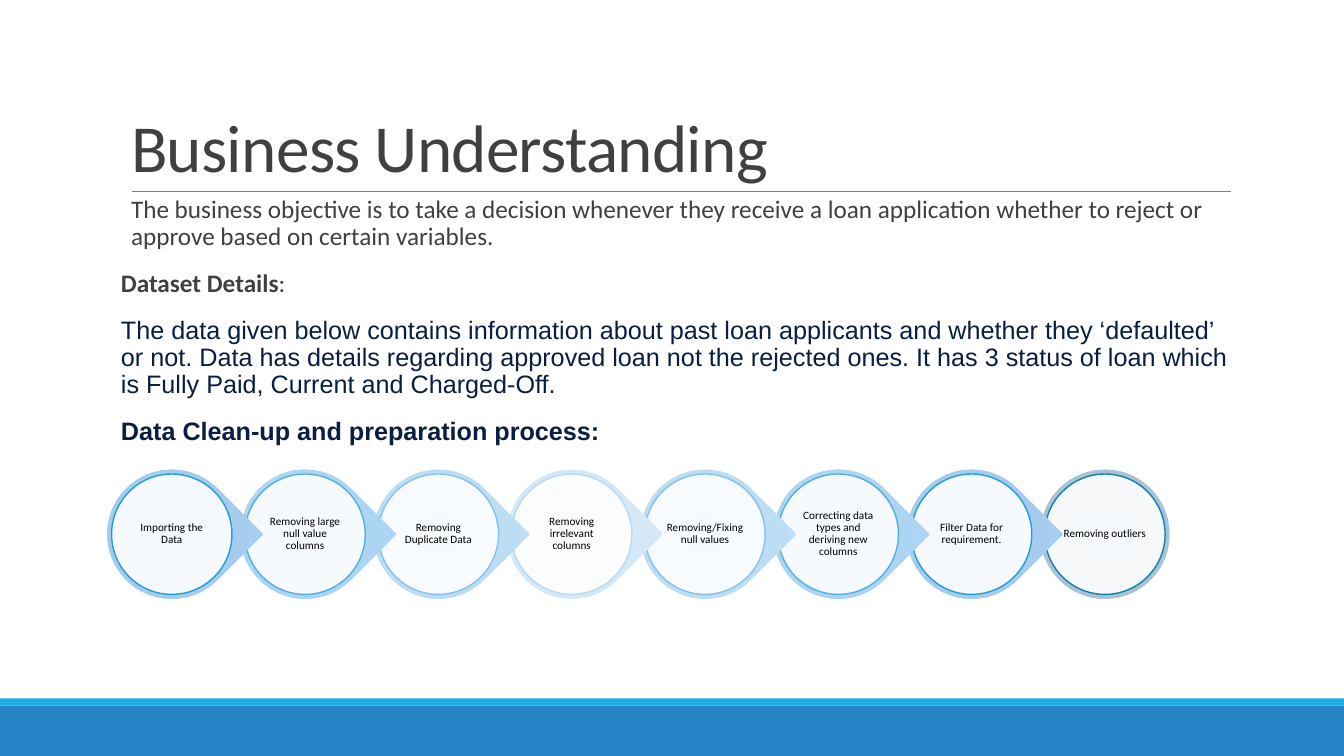
from pptx import Presentation
from pptx.dml.color import RGBColor
from pptx.enum import shapes, text
from pptx.oxml import parse_xml
from pptx.oxml.ns import nsdecls, qn
from pptx.util import Pt

COLORS = {
    "footer": "2683C6", "accent": "1CADE4", "rule": "808080",
    "body": "404040", "navy": "091E42", "white": "FFFFFF", "black": "000000",
}
# Each tint: gradient stops of the outer shape, then the inner outline
TINTS = {
    "deep": (("93C1E9", "A5CCEE", "AAD2F6"), "1F9FD9"),
    "medium": (("9BCAEE", "ACD4F3", "B0D9FA"), "51B0E2"),
    "light": (("AED3EF", "BDDDF5", "C0E1FB"), "86C2E8"),
    "pale": (("C9E0F1", "D5E8F8", "D7ECFC"), "B9D9F0"),
    "grey": (("96B4CB", "A7C0D4", "AEC7DC"), "1580A9"),
}
TITLE = "Business Understanding"
# Each paragraph: runs of (wording, bold), font, colour
PARAGRAPHS = [
    ([("The business objective is to take a decision whenever they receive a loan "
       "application whether to reject or approve based on certain variables.", False)],
     "Calibri", "body"),
    ([("Dataset Details", True), (":", False)], "Calibri", "body"),
    ([("The data given below contains information about past loan applicants and "
       "whether they ‘defaulted’ or not. Data has details regarding approved loan not "
       "the rejected ones. It has 3 status of loan which is Fully Paid, Current and "
       "Charged-Off.", False)], "Arial", "navy"),
    ([("Data Clean-up and preparation process:", True)], "Arial", "navy"),
]
STEPS = [
    ("Importing the Data", "deep"),
    ("Removing large null value columns", "medium"),
    ("Removing Duplicate Data", "light"),
    ("Removing irrelevant columns", "pale"),
    ("Removing/Fixing null values", "light"),
    ("Correcting data types and deriving new columns", "medium"),
    ("Filter Data for requirement.", "deep"),
    ("Removing outliers", "grey"),
]
STEP_LEFT, STEP_TOP, STEP_PITCH = 76.6, 335.5, 95.22
OUTER, INNER, LABEL = 92.2, 86, 61.2


def rgb(value):
    return RGBColor.from_string(value)


def style_font(span, name, size, color, bold=False):
    span.font.name = name
    span.font.size = Pt(size)
    span.font.bold = bold
    span.font.color.rgb = rgb(color)


def place(box, left, top, width, height):
    box.left, box.top, box.width, box.height = map(Pt, (left, top, width, height))


def add_filled(parent, preset, bounds, color):
    box = parent.add_shape(preset, *map(Pt, bounds))
    box.shadow.inherit = False
    box.fill.solid()
    box.fill.fore_color.rgb = rgb(color)
    box.line.fill.background()
    return box


def set_radial_fill(box, stops):
    marks = "".join(
        f'<a:gs pos="{position}"><a:srgbClr val="{color}"/></a:gs>'
        for position, color in zip((0, 45000, 100000), stops))
    gradient = parse_xml(
        f'<a:gradFill {nsdecls("a")} rotWithShape="1"><a:gsLst>{marks}</a:gsLst>'
        '<a:path path="circle"><a:fillToRect l="100000" t="100000" r="100000" '
        'b="100000"/></a:path></a:gradFill>')
    properties = box._element.spPr
    properties.replace(properties.find(qn("a:solidFill")), gradient)


def set_bullet(para, indent, character=None):
    properties = para._p.get_or_add_pPr()
    properties.set("marL", str(Pt(indent)))
    properties.set("indent", str(-Pt(indent)))
    mark = f'buChar {nsdecls("a")} char="{character}"' if character else f'buNone {nsdecls("a")}'
    properties.append(parse_xml(f"<a:{mark}/>"))


def add_step(parent, index, wording, tint):
    stops, outline = TINTS[tint]
    left = STEP_LEFT + index * STEP_PITCH

    def centred(size):
        margin = (OUTER - size) / 2
        return left + margin, STEP_TOP + margin, size, size

    is_last = index == len(STEPS) - 1
    preset = shapes.MSO_SHAPE.OVAL if is_last else shapes.MSO_SHAPE.TEAR
    outer = add_filled(parent, preset, centred(OUTER), stops[0])
    outer.rotation = 0 if is_last else 45
    set_radial_fill(outer, stops)

    inner = add_filled(parent, shapes.MSO_SHAPE.OVAL, centred(INNER), COLORS["white"])
    inner.line.color.rgb = rgb(outline)
    inner.line.width = Pt(1)
    white = inner._element.spPr.find(qn("a:solidFill"))[0]
    white.append(parse_xml(f'<a:alpha {nsdecls("a")} val="90000"/>'))

    label = parent.add_textbox(*map(Pt, centred(LABEL)))
    frame = label.text_frame
    frame.word_wrap = True
    frame.vertical_anchor = text.MSO_ANCHOR.MIDDLE
    frame.margin_left = frame.margin_right = frame.margin_top = frame.margin_bottom = Pt(0.8)
    frame.text = wording
    para = frame.paragraphs[0]
    para.alignment = text.PP_ALIGN.CENTER
    para.line_spacing = 0.9
    style_font(para.runs[0], "Calibri", 8, COLORS["black"])


def fill_title(box):
    place(box, 86.4, 22.3, 792, 114.5)
    frame = box.text_frame
    frame.text = TITLE
    frame.vertical_anchor = text.MSO_ANCHOR.BOTTOM
    frame.auto_size = text.MSO_AUTO_SIZE.NONE
    para = frame.paragraphs[0]
    para.alignment = text.PP_ALIGN.LEFT
    para.line_spacing = 0.85
    style_font(para.runs[0], "Calibri", 48, COLORS["body"])
    para.runs[0].font._element.set("spc", "-50")


def fill_body(box):
    place(box, 86.4, 136.8, 792, 316.8)
    frame = box.text_frame
    frame.auto_size = text.MSO_AUTO_SIZE.NONE
    frame.margin_left = frame.margin_right = 0
    for index, (runs, font, color) in enumerate(PARAGRAPHS):
        para = frame.add_paragraph() if index else frame.paragraphs[0]
        para.line_spacing = 0.9
        para.space_before, para.space_after = Pt(12), Pt(2)
        if index:
            set_bullet(para, 0)
        else:
            set_bullet(para, 7.2, " ")
        for wording, bold in runs:
            span = para.add_run()
            span.text = wording
            style_font(span, font, 18, COLORS[color], bold)


def main():
    deck = Presentation()
    deck.slide_width, deck.slide_height = Pt(960), Pt(540)
    page = deck.slides.add_slide(deck.slide_layouts[1])
    fill_title(page.shapes.title)
    fill_body(page.placeholders[1])

    add_filled(page.shapes, shapes.MSO_SHAPE.RECTANGLE, (0, 504, 960, 36), COLORS["footer"])
    add_filled(page.shapes, shapes.MSO_SHAPE.RECTANGLE, (0, 498.8, 960, 5.2), COLORS["accent"])
    rule = page.shapes.add_connector(
        shapes.MSO_CONNECTOR.STRAIGHT, *map(Pt, (94.2, 136.8, 879, 136.8)))
    rule.line.color.rgb = rgb(COLORS["rule"])
    rule.line.width = Pt(0.5)
    rule._element.spPr.append(parse_xml(f'<a:effectLst {nsdecls("a")}/>'))

    # Later steps lie behind, so each teardrop tip overlaps the next circle
    process = page.shapes.add_group_shape().shapes
    for index, (wording, tint) in reversed(list(enumerate(STEPS))):
        add_step(process, index, wording, tint)
    deck.save("out.pptx")


if __name__ == "__main__":
    main()
